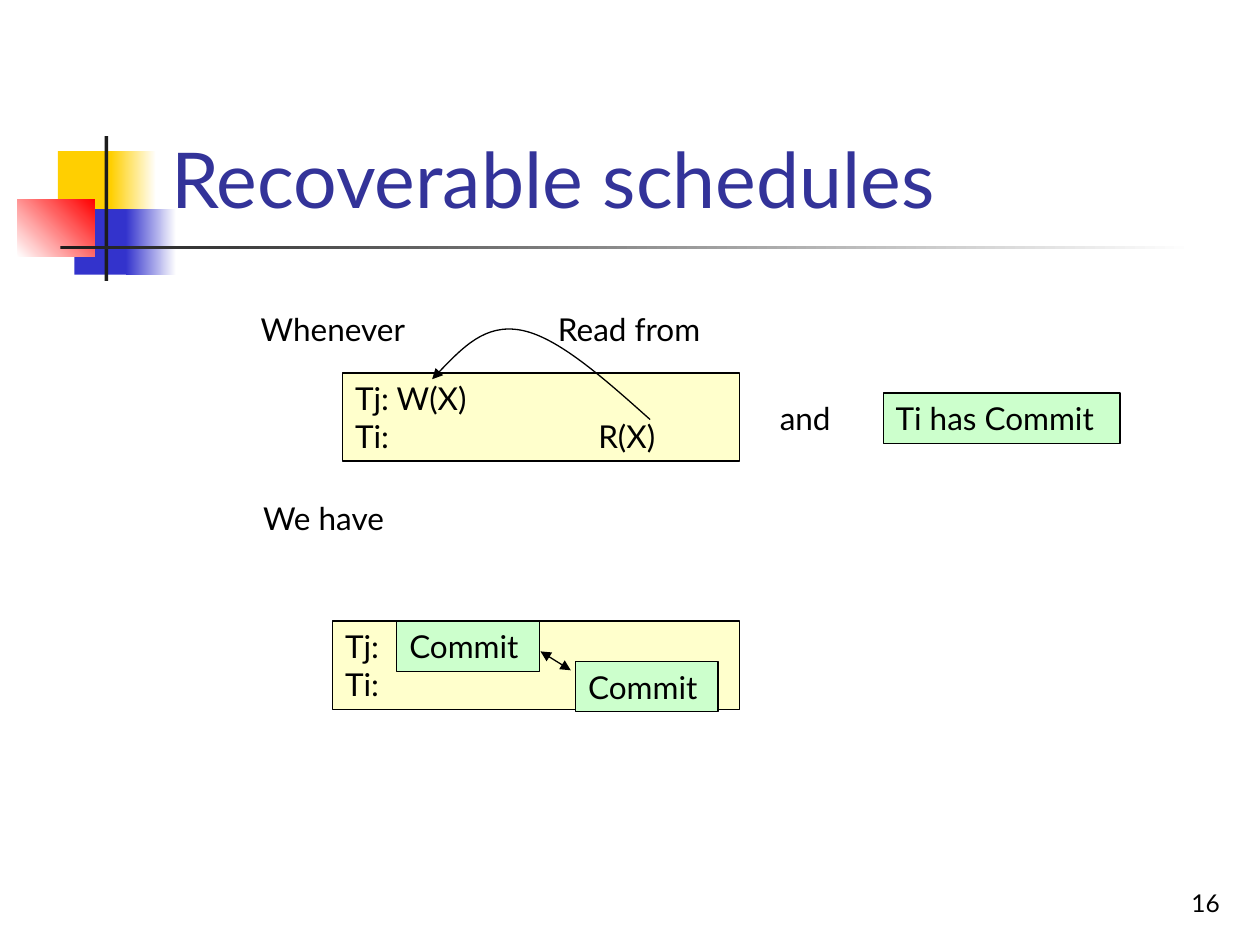
import pptx
import pptx.util
import pptx.dml.color
import pptx.enum.shapes
import pptx.enum.text
import pptx.oxml.ns
import lxml.etree
from dataclasses import dataclass

Inches, Pt = pptx.util.Inches, pptx.util.Pt
qn = pptx.oxml.ns.qn
ANCHOR = pptx.enum.text.MSO_ANCHOR
ALIGN = pptx.enum.text.PP_ALIGN


@dataclass(frozen=True)
class Theme:
    font: str = "Lato"
    title_size: int = 44
    body_size: int = 18
    number_size: int = 14
    line_width: float = 0.75
    white: str = "FFFFFF"
    black: str = "000000"
    title: str = "333399"
    yellow: str = "FFCF01"
    blue: str = "3333CC"
    red: str = "FF0000"
    rule: str = "1C1C1C"
    schedule: str = "FFFFCC"
    commit: str = "CCFFCC"


T = Theme()

DECOR = [
    ((0.46, 1.2, 0.48, 0.52), (T.yellow,), 0),
    ((0.88, 1.2, 0.36, 0.52), (T.yellow, T.white), 0),
    ((0.59, 1.66, 0.46, 0.52), (T.blue,), 0),
    ((1, 1.66, 0.4, 0.52), (T.blue, T.white), 0),
    ((0.14, 1.58, 0.61, 0.46), (T.white, T.red), 45),
    ((0.83, 1.08, 0.03, 1.15), (T.rule,), 0),
    ((0.48, 1.95, 9, 0.03), (T.rule, T.white), 0),
]
TITLE = ("Recoverable schedules", (1.26, 0.23, 8.52, 1.6))
NUMBER = ("16", (7.7, 6.83, 2.08, 0.5))
LABELS = [
    ("Whenever", (1.97, 2.41, 1.39, 0.4)),
    ("Read from", (4.33, 2.41, 1.43, 0.4)),
    ("We have", (1.99, 3.91, 1.2, 0.4)),
    ("and", (6.09, 3.12, 0.65, 0.4)),
]
BOXES = [
    (["Tj: W(X)", "Ti:\tR(X)"], (2.72, 2.96, 3.15, 0.7), T.schedule),
    (["Tj:", "Ti:"], (2.64, 4.93, 3.23, 0.7), T.schedule),
    (["Commit"], (3.15, 4.93, 1.13, 0.4), T.commit),
    (["Commit"], (4.57, 5.25, 1.13, 0.4), T.commit),
    (["Ti has Commit"], (7.01, 3.12, 1.88, 0.4), T.commit),
]
READ_TAB = 1.93
READ_CURVE = [(5.16, 3.33), (4.79, 3), (4.42, 2.67), (4.13, 2.62),
              (3.85, 2.57), (3.64, 2.79), (3.43, 3.01)]
COMMIT_ORDER = [(4.29, 5.17), (4.53, 5.32)]


def rgb(value):
    return pptx.dml.color.RGBColor.from_string(value)


def inches(values):
    return [Inches(v) for v in values]


def sub(parent, tag, **attrs):
    return lxml.etree.SubElement(
        parent, qn(tag), {name: str(value) for name, value in attrs.items()})


def set_line(sp, *ends):
    sp.line.color.rgb = rgb(T.black)
    sp.line.width = Pt(T.line_width)
    ln = sp._element.spPr.find(qn("a:ln"))
    for end in ends:
        sub(ln, end, type="triangle")


def write(sp, lines, size=T.body_size, color=T.black, align=ALIGN.LEFT,
          anchor=ANCHOR.TOP, wrap=False):
    tf = sp.text_frame
    tf.word_wrap = wrap
    tf.vertical_anchor = anchor
    for i, line in enumerate(lines):
        p = tf.add_paragraph() if i else tf.paragraphs[0]
        p.text = line
        p.alignment = align
        if "\t" in line:
            tabs = sub(p._p.get_or_add_pPr(), "a:tabLst")
            sub(tabs, "a:tab", pos=int(Inches(READ_TAB)), algn="l")
        p.font.name = T.font
        p.font.size = Pt(size)
        p.font.color.rgb = rgb(color)


def add_rect(s, at, colors, angle=0):
    sp = s.shapes.add_shape(pptx.enum.shapes.MSO_SHAPE.RECTANGLE, *inches(at))
    sp.shadow.inherit = False
    if len(colors) == 1:
        sp.fill.solid()
        sp.fill.fore_color.rgb = rgb(colors[0])
    else:
        sp.fill.gradient()
        sp.fill.gradient_angle = angle
        for stop, color, position in zip(sp.fill.gradient_stops, colors, (0, 1)):
            stop.color.rgb = rgb(color)
            stop.position = position
    sp.line.fill.background()
    return sp


def add_text(s, text, at, **style):
    write(s.shapes.add_textbox(*inches(at)), [text], **style)


def add_curve(s, points):
    start, *rest = [inches(point) for point in points]
    builder = s.shapes.build_freeform(*start)
    builder.add_line_segments(rest, close=False)
    sp = builder.convert_to_shape()
    sp.shadow.inherit = False
    sp.fill.background()
    set_line(sp, "a:tailEnd")
    path = sp._element.find(".//" + qn("a:path"))
    segments = path.findall(qn("a:lnTo"))
    for i in range(0, len(segments), 3):
        bezier = sub(path, "a:cubicBezTo")
        for segment in segments[i:i + 3]:
            bezier.append(segment[0])
            path.remove(segment)


def add_arrow(s, start, end):
    sp = s.shapes.add_connector(pptx.enum.shapes.MSO_CONNECTOR.STRAIGHT,
                                *inches(start), *inches(end))
    set_line(sp, "a:headEnd", "a:tailEnd")
    sub(sp._element.spPr, "a:effectLst")


def main():
    prs = pptx.Presentation()
    prs.slide_width, prs.slide_height = inches((10, 7.5))
    s = prs.slides.add_slide(prs.slide_layouts[6])
    for at, colors, angle in DECOR:
        add_rect(s, at, colors, angle)
    add_text(s, *NUMBER, size=T.number_size, align=ALIGN.RIGHT,
             anchor=ANCHOR.BOTTOM, wrap=True)
    add_text(s, *TITLE, size=T.title_size, color=T.title,
             anchor=ANCHOR.BOTTOM, wrap=True)
    for lines, at, color in BOXES:
        sp = add_rect(s, at, (color,))
        set_line(sp)
        write(sp, lines, wrap=len(lines) > 1)
    for text, at in LABELS:
        add_text(s, text, at)
    add_curve(s, READ_CURVE)
    add_arrow(s, *COMMIT_ORDER)
    prs.save("out.pptx")


if __name__ == "__main__":
    main()
